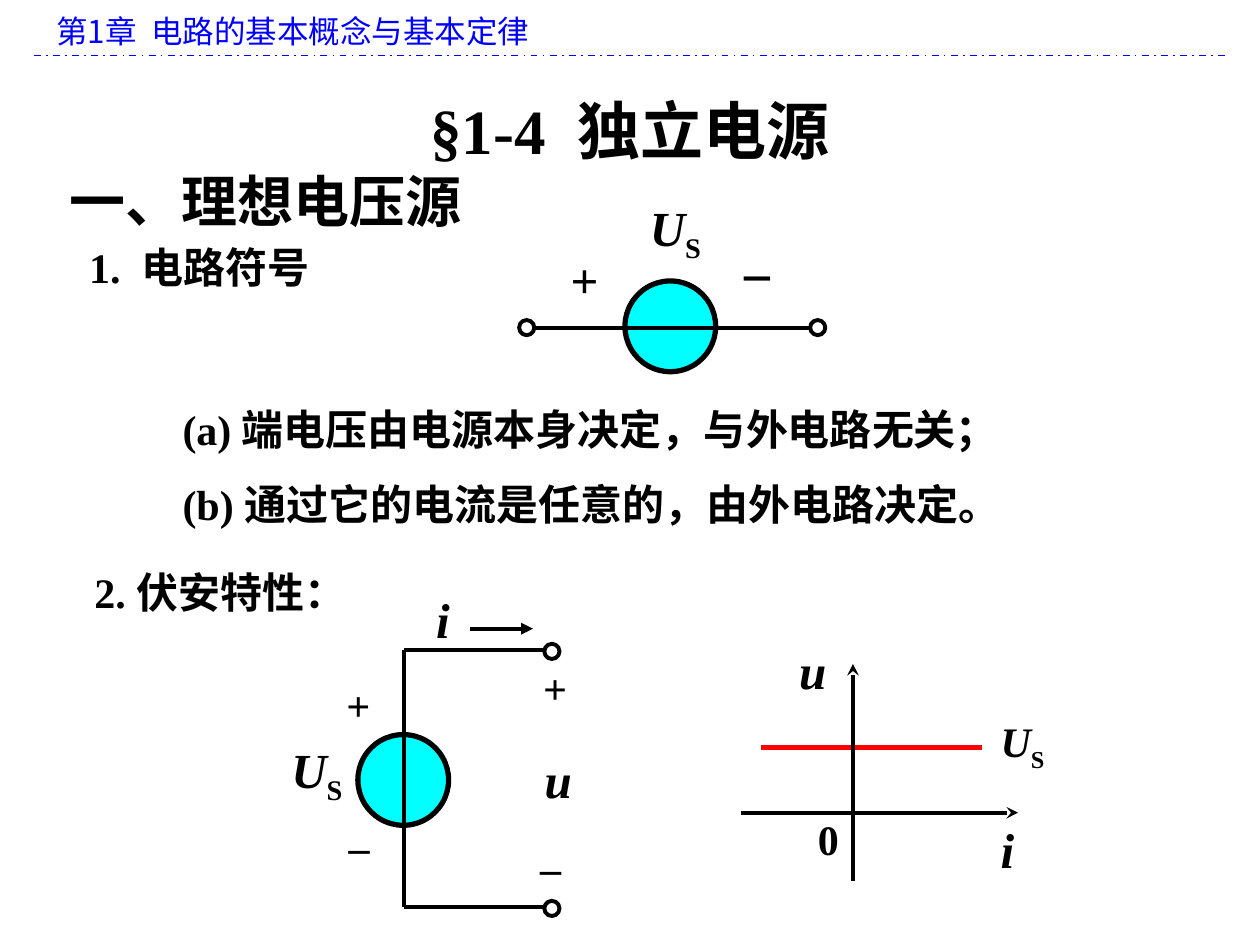
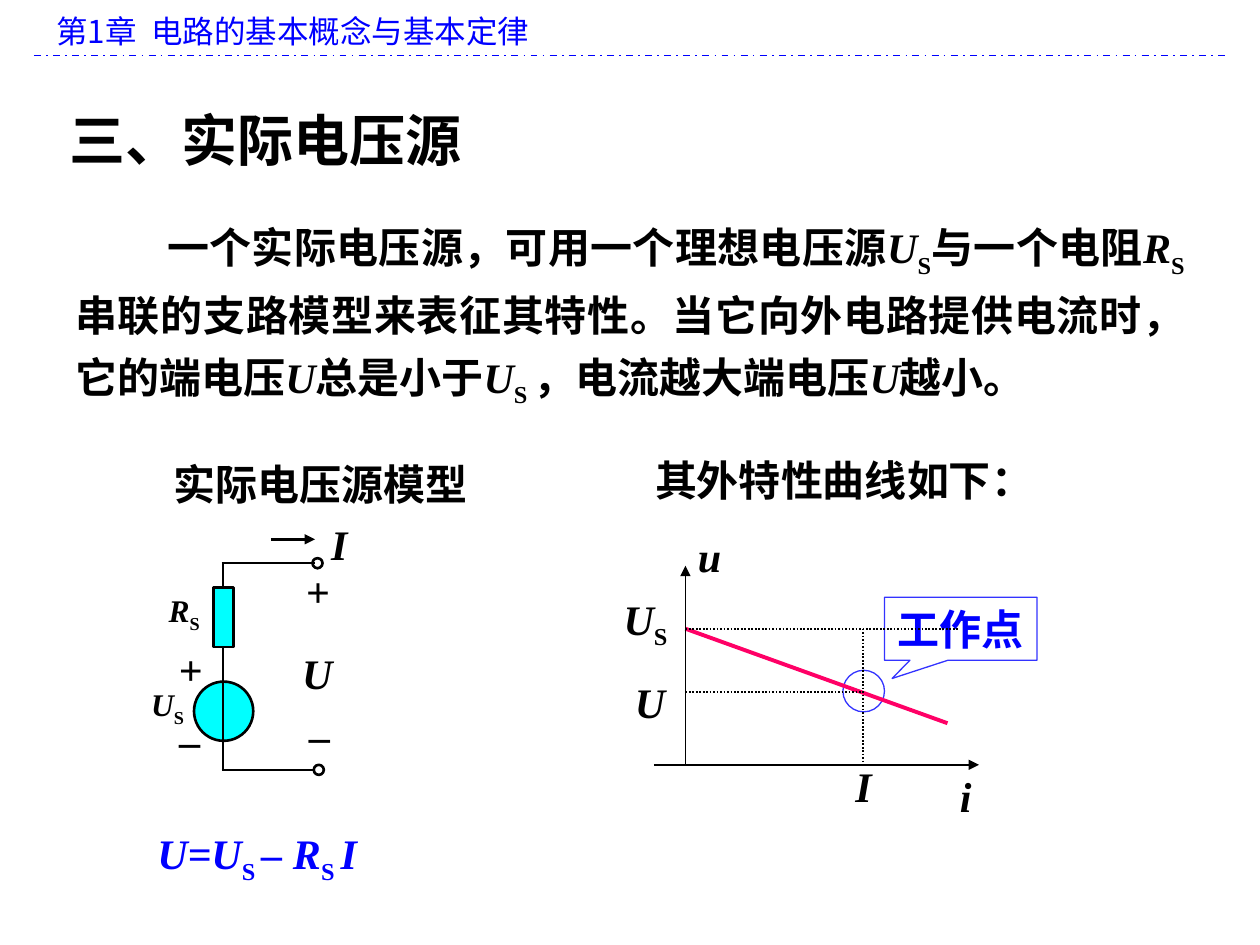
from dataclasses import dataclass
from functools import singledispatch
from typing import Any

from lxml.etree import SubElement
from pptx import Presentation
from pptx.dml.color import RGBColor
from pptx.enum.dml import MSO_LINE
from pptx.enum.shapes import MSO_CONNECTOR, MSO_SHAPE
from pptx.enum.text import MSO_ANCHOR, MSO_AUTO_SIZE, PP_ALIGN
from pptx.oxml.ns import qn
from pptx.slide import Slide
from pptx.util import Inches, Length, Pt

WIDE, HIGH = Inches(10), Inches(7.5)
COLS, ROWS = 100, 75
BLACK, WHITE, BLUE, CYAN = "000000", "FFFFFF", "0000FF", "00FFFF"
RED, PINK, INDIGO = "FF0000", "FF0066", "3333FF"
SERIF, SANS = "Times New Roman", "Noto Sans CJK SC"
LEFT, MID, FULL = PP_ALIGN.LEFT, PP_ALIGN.CENTER, PP_ALIGN.JUSTIFY
TOP, CORE = MSO_ANCHOR.TOP, MSO_ANCHOR.MIDDLE


@dataclass
class Area:
    """A place on the grid, in columns and rows."""
    x: float
    y: float
    w: float
    h: float


@dataclass
class Style:
    """How a text looks."""
    size: float = 24
    color: str = BLACK
    font: str = SERIF
    bold: bool = True
    align: Any = LEFT
    anchor: Any = TOP
    wrap: bool = True
    indent: float = 0
    space: float = 1.0


@dataclass
class Note:
    """A text; parts split by | are slanted after / and lowered after a dot."""
    area: Area
    text: str
    style: Style
    turn: float = 0


@dataclass
class Form:
    """A preset shape, with or without words."""
    kind: Any
    area: Area
    fill: str = ""
    line: str = BLACK
    width: float = 1.5
    turn: float = 0
    tweaks: tuple = ()
    text: str = ""
    style: Style | None = None


@dataclass
class Wire:
    """A straight line between two grid points."""
    x: float
    y: float
    end_x: float
    end_y: float
    width: float = 1.5
    color: str = BLACK
    tip: str = ""
    dash: Any = None


def hue(code: str) -> RGBColor:
    """Turn a hex string into a colour."""
    return RGBColor.from_string(code)


def col(count: float) -> Length:
    """Width of so many columns."""
    return Length(round(WIDE * count / COLS))


def row(count: float) -> Length:
    """Height of so many rows."""
    return Length(round(HIGH * count / ROWS))


def place(area: Area) -> tuple:
    """Left, top, width and height of an area."""
    return col(area.x), row(area.y), col(area.w), row(area.h)


def dress(thing: Any, looks: dict) -> None:
    """Set each format value on a thing."""
    for name, value in looks.items():
        setattr(thing, name, value)


def write(frame: Any, text: str, style: Style) -> None:
    """Fill a text frame with styled runs."""
    dress(frame, {"word_wrap": style.wrap, "auto_size": MSO_AUTO_SIZE.NONE,
                  "vertical_anchor": style.anchor})
    para = frame.paragraphs[0]
    dress(para, {"alignment": style.align, "line_spacing": style.space})
    if style.indent:
        para._p.get_or_add_pPr().set("indent", str(col(style.indent)))
    for part in text.split("|"):
        run = para.add_run()
        run.text = part.lstrip("/.")
        dress(run.font, {"size": Pt(style.size), "name": style.font,
                         "bold": style.bold, "italic": part.startswith("/")})
        run.font.color.rgb = hue(style.color)
        props = run._r.get_or_add_rPr()
        SubElement(props, qn("a:ea")).set("typeface", SANS)
        if part.startswith("."):
            props.set("baseline", "-25000")


@singledispatch
def draw(item: Any, slide: Slide) -> None:
    """Draw one item on a slide."""
    raise TypeError(item)


@draw.register
def draw_note(item: Note, slide: Slide) -> None:
    """Draw a text box."""
    box = slide.shapes.add_textbox(*place(item.area))
    box.rotation = item.turn
    write(box.text_frame, item.text, item.style)


@draw.register
def draw_form(item: Form, slide: Slide) -> None:
    """Draw a preset shape."""
    shape = slide.shapes.add_shape(item.kind, *place(item.area))
    shape.shadow.inherit = False
    shape.rotation = item.turn
    for index, tweak in enumerate(item.tweaks):
        shape.adjustments[index] = tweak
    if item.fill:
        shape.fill.solid()
        shape.fill.fore_color.rgb = hue(item.fill)
    else:
        shape.fill.background()
    shape.line.color.rgb = hue(item.line)
    shape.line.width = Pt(item.width)
    if item.style:
        write(shape.text_frame, item.text, item.style)


@draw.register
def draw_wire(item: Wire, slide: Slide) -> None:
    """Draw a line or an arrow."""
    wire = slide.shapes.add_connector(
        MSO_CONNECTOR.STRAIGHT, col(item.x), row(item.y), col(item.end_x), row(item.end_y))
    wire.line.color.rgb = hue(item.color)
    dress(wire.line, {"width": Pt(item.width), "dash_style": item.dash})
    props = wire._element.spPr
    if item.tip:
        SubElement(props.find(qn("a:ln")), qn("a:tailEnd")).set("type", item.tip)
    SubElement(props, qn("a:effectLst"))


def mark(x: float, y: float, w: float, text: str, size: float = 24,
         turn: float = 0, font: str = SERIF) -> Note:
    """A label centred in its box."""
    style = Style(size, font=font, align=MID, anchor=CORE, wrap=False)
    return Note(Area(x, y, w, 5.7 if size == 28 else 5), text, style, turn)


def label(x: float, y: float, w: float, text: str, **looks: Any) -> Note:
    """A label that starts at the left of its box."""
    return Note(Area(x, y, w, 5), text, Style(**looks))


def disk(x: float, y: float, size: float, width: float, fill: str = "",
         line: str = BLACK) -> Form:
    """A circle given by its left, top and size."""
    return Form(MSO_SHAPE.OVAL, Area(x, y, size, size), fill, line, width)


def start(deck: Any, title: str, area: Area, style: Style) -> Slide:
    """Add a slide with its title and the chapter band."""
    slide = deck.slides.add_slide(deck.slide_layouts[5])
    head = slide.shapes.title
    dress(head, dict(zip(("left", "top", "width", "height"), place(area))))
    write(head.text_frame, title, style)
    draw(Note(Area(3.5, 0.5, 93.7, 4), "第1章  电路的基本概念与基本定律",
              Style(18, BLUE, SANS, False)), slide)
    draw(Wire(2.7, 4.4, 97.2, 4.4, 1, BLUE, dash=MSO_LINE.DASH_DOT), slide)
    return slide


def ideal() -> list:
    """Items about the ideal voltage source."""
    thick = 2.25
    return [
        Note(Area(4.5, 12.7, 91, 6.3), "一、理想电压源", Style(32)),
        label(6.1, 18.7, 35.9, "1.  电路符号", anchor=CORE),
        label(13.5, 31.5, 82.2, "(a) 端电压由电源本身决定，与外电路无关；", anchor=CORE),
        label(13.5, 37.5, 83.2, "(b) 通过它的电流是任意的，由外电路决定。", anchor=CORE),
        label(6.5, 44.5, 44.7, "2. 伏安特性：", anchor=CORE),
        disk(49.6, 22.3, 7.2, 3, CYAN),
        Wire(64.3, 26, 42.2, 26, thick),
        *(disk(x, 25.4, 1.2, thick) for x in (41.2, 64.3)),
        mark(48, 15.5, 11.2, "/U|.S", 28),
        mark(44.4, 19.3, 4, "+", 28),
        mark(58.3, 17.3, 3.7, "_", 28, font=SANS),
        disk(28.4, 58.3, 7.2, 3, CYAN),
        Wire(32.1, 72, 32.1, 51.6, thick),
        *(Wire(43.2, y, 32.1, y, thick) for y in (51.6, 72)),
        *(disk(43.2, y, 1.2, thick) for y in (51.1, 71.5)),
        Wire(37.3, 49.9, 42.3, 49.9, thick, tip="triangle"),
        mark(33.6, 46.3, 3.1, "/i", 28),
        mark(22, 58.5, 6.3, "/U|.S", 28),
        mark(42.2, 59, 4.2, "/u", 28),
        mark(26.5, 53.9, 3.9, "+", turn=180),
        mark(42.1, 52.5, 3.9, "+", turn=180),
        mark(26.8, 63.5, 3.4, "_"),
        mark(42, 65.2, 3.4, "_"),
        Wire(60.4, 59.3, 77.9, 59.3, 3, RED),
        Wire(58.8, 64.5, 80.8, 64.5, thick, tip="stealth"),
        Wire(67.7, 69.9, 67.7, 52.7, thick, tip="stealth"),
        mark(78.3, 56.6, 5.7, "/U|.S"),
        mark(62.4, 50.3, 4.2, "/u", 28),
        mark(78.4, 64.5, 3.1, "/i", 28),
        mark(63.9, 64.1, 3.7, "0"),
    ]


def real() -> list:
    """Items about the real voltage source."""
    dots = MSO_LINE.ROUND_DOT
    story = ("一个实际电压源，可用一个理想电压源|/U|.S|与一个电阻|/R|.S |"
             "串联的支路模型来表征其特性。当它向外电路提供电流时，它的端电压|/U|"
             "总是小于|/U|.S |，电流越大端电压|/U|越小。")
    return [
        Note(Area(5, 16.2, 90, 15.6), story, Style(align=FULL, indent=7.3, space=1.2)),
        label(11.5, 65.2, 31.7, "/U=U|.S |/– R|.S |/I", color=BLUE),
        label(12.8, 35.9, 27.9, "实际电压源模型"),
        label(51, 35.6, 42.5, "其外特性曲线如下："),
        disk(66.9, 53.2, 3.3, 0.75, WHITE, INDIGO),
        Form(MSO_SHAPE.RECTANGULAR_CALLOUT, Area(70.2, 47.4, 12.1, 5), WHITE, INDIGO,
             0.75, tweaks=(-0.45, 0.79), text="工作点",
             style=Style(color=BLUE, align=MID, anchor=CORE, wrap=False)),
        Wire(54.4, 49.9, 75.2, 57.4, 2.25, PINK),
        Wire(51.9, 60.7, 77.7, 60.7, 1, tip="triangle"),
        Wire(54.4, 60.7, 54.4, 44.9, 1, tip="triangle"),
        Wire(54.4, 49.9, 76, 49.9, 1, dash=dots),
        Wire(54.4, 54.9, 68.5, 54.9, 1, dash=dots),
        Wire(68.5, 49.9, 68.5, 60.7, 1, dash=dots),
        label(54.4, 41.6, 4.2, "/u"),
        label(75.2, 60.7, 3.3, "/i"),
        label(48.5, 46.6, 5.8, "/U|.S"),
        label(49.4, 53.2, 4.2, "/U"),
        label(66.9, 59.9, 3.3, "/I"),
        disk(15.4, 54.1, 4.7, 1.5, CYAN),
        Wire(17.7, 44.7, 17.7, 61.2),
        Form(MSO_SHAPE.RECTANGLE, Area(15.4, 48.2, 4.7, 1.6), CYAN, turn=90),
        *(Wire(17.6, y, 25, y) for y in (44.7, 61.1)),
        disk(24.8, 44.3, 0.8, 1.5),
        disk(24.9, 60.7, 0.8, 1.5),
        Wire(21.5, 42.8, 25, 42.8, tip="triangle"),
        mark(13.2, 50.6, 3.9, "+"),
        mark(13.2, 55.1, 3.7, "_"),
        mark(23.3, 44.4, 3.9, "+"),
        mark(23.5, 54.7, 3.7, "_"),
        label(23, 50.9, 5.1, "/U"),
        label(25.3, 40.7, 5.1, "/I"),
        label(11, 53.9, 7.1, "/U|.S", size=18),
        label(12.4, 46.4, 7.1, "/R|.S", size=18),
    ]


def main() -> None:
    """Build and save the deck."""
    deck = Presentation()
    dress(deck, {"slide_width": WIDE, "slide_height": HIGH})
    pages = (
        ("§1-4  独立电源", Area(5.3, 6.8, 89.4, 7), Style(36, align=MID), ideal()),
        ("三、实际电压源", Area(4.5, 7.9, 91, 6.3), Style(32), real()),
    )
    for title, area, style, items in pages:
        slide = start(deck, title, area, style)
        for item in items:
            draw(item, slide)
    deck.save("out.pptx")


if __name__ == "__main__":
    main()
